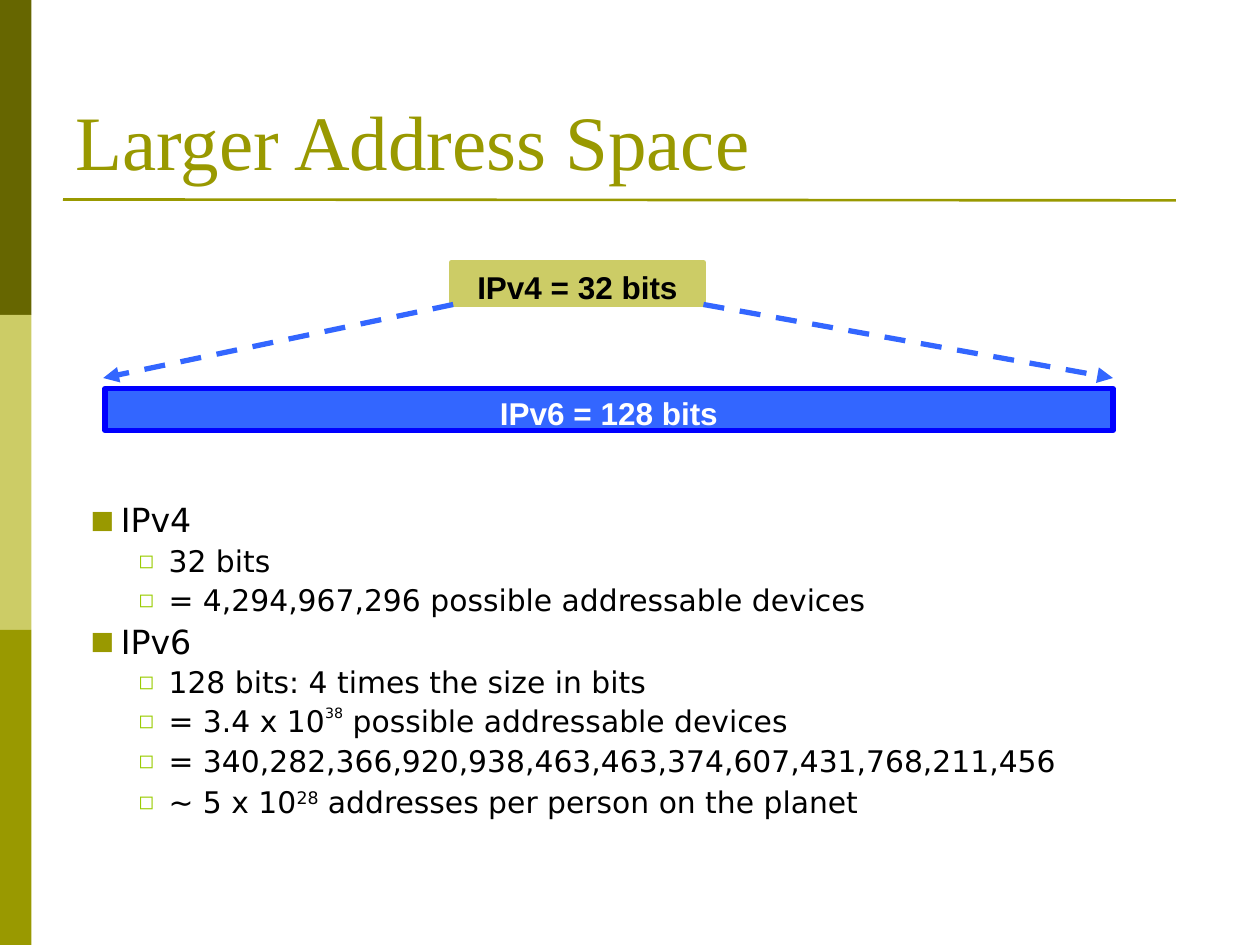
"""Build a slide comparing the IPv4 and IPv6 address spaces."""
from lxml.etree import SubElement
from pptx import Presentation
from pptx.dml.color import RGBColor
from pptx.enum.dml import MSO_LINE
from pptx.enum.shapes import MSO_CONNECTOR, MSO_SHAPE
from pptx.enum.text import MSO_ANCHOR, PP_ALIGN
from pptx.oxml.ns import qn
from pptx.util import Pt

DARK_OLIVE = RGBColor(0x66, 0x66, 0x00)
OLIVE = RGBColor(0x99, 0x99, 0x00)
KHAKI = RGBColor(0xCC, 0xCC, 0x66)
LIME = RGBColor(0x99, 0xCC, 0x00)
BLUE = RGBColor(0x33, 0x66, 0xFF)
DEEP_BLUE = RGBColor(0x00, 0x00, 0xFF)
BLACK = RGBColor(0x00, 0x00, 0x00)
WHITE = RGBColor(0xFF, 0xFF, 0xFF)

deck = Presentation()
deck.slide_width, deck.slide_height = Pt(720), Pt(540)
page = deck.slides.add_slide(deck.slide_layouts[6])


def add_text_frame(left, top, width, height, inset_top):
    box = page.shapes.add_textbox(Pt(left), Pt(top), Pt(width), Pt(height))
    frame = box.text_frame
    frame.word_wrap = True
    frame.margin_left = frame.margin_right = Pt(7.2)
    frame.margin_top, frame.margin_bottom = Pt(inset_top), Pt(3.6)
    return frame


def add_line(start, end, color, width):
    line = page.shapes.add_connector(MSO_CONNECTOR.STRAIGHT, *map(Pt, start + end))
    line.line.color.rgb = color
    line.line.width = Pt(width)
    SubElement(line._element.spPr, qn("a:effectLst"))
    return line


for index, color in enumerate((DARK_OLIVE, KHAKI, OLIVE)):
    band = page.shapes.add_shape(MSO_SHAPE.RECTANGLE, 0, Pt(180 * index), Pt(18), Pt(180))
    band.shadow.inherit = False
    band.fill.solid()
    band.fill.fore_color.rgb = color
    band.line.fill.background()

add_line((36, 114), (672, 114.5), OLIVE, 1.5)

title = add_text_frame(36, 21.6, 648, 90, 4.6)
title.vertical_anchor = MSO_ANCHOR.BOTTOM
para = title.paragraphs[0]
para.text = "Larger Address Space"
para.line_spacing = 0.98
para.font.name, para.font.size = "Times New Roman", Pt(44)
para.font.color.rgb = OLIVE

points = [
    (0, ["IPv4"]),
    (1, ["32 bits"]),
    (1, ["= 4,294,967,296 possible addressable devices"]),
    (0, ["IPv6"]),
    (1, ["128 bits: 4 times the size in bits"]),
    (1, ["= 3.4 x 10", ("38", 14, 58), " possible addressable devices"]),
    (1, ["= 340,282,366,920,938,463,463,374,607,431,768,211,456"]),
    (1, ["∼ 5 x 10", ("28", 17, 30), " addresses per person on the planet"]),
]
levels = [
    (26, 5.2, 19, "■", OLIVE, 75),
    (53.3, 4.8, 17, "◻", LIME, 65),
]
body = add_text_frame(36, 282.2, 648, 216, 6.5)
for index, (level, pieces) in enumerate(points):
    indent, space, size, bullet, bullet_color, bullet_size = levels[level]
    para = body.paragraphs[0] if index == 0 else body.add_paragraph()
    para.level = level
    props = para._p.get_or_add_pPr()
    props.set("marL", str(Pt(indent)))
    props.set("indent", str(Pt(-17.3)))
    SubElement(SubElement(props, qn("a:buClr")), qn("a:srgbClr"), val=str(bullet_color))
    SubElement(props, qn("a:buSzPct"), val=str(bullet_size * 1000))
    SubElement(props, qn("a:buFont"), typeface="DejaVu Sans")
    SubElement(props, qn("a:buChar"), char=bullet)
    para.line_spacing = 0.93 if index == len(points) - 1 else 0.86
    para.space_before = Pt(space)
    para.font.name, para.font.size = "DejaVu Sans", Pt(size)
    para.font.color.rgb = BLACK
    for piece in pieces:
        span = para.add_run()
        if isinstance(piece, str):
            span.text = piece
        else:
            span.text, power_size, raise_percent = piece
            span.font.size = Pt(power_size)
            span.font._element.set("baseline", str(raise_percent * 1000))

bars = [
    ("IPv4 = 32 bits", 258, 150, 144, KHAKI, KHAKI, BLACK),
    ("IPv6 = 128 bits", 60, 222, 576, BLUE, DEEP_BLUE, WHITE),
]
for label, left, top, width, fill, outline, text_color in bars:
    bar = page.shapes.add_shape(MSO_SHAPE.RECTANGLE, Pt(left), Pt(top), Pt(width), Pt(24))
    bar.shadow.inherit = False
    bar.fill.solid()
    bar.fill.fore_color.rgb = fill
    bar.line.color.rgb = outline
    bar.line.width = Pt(3)
    para = add_text_frame(left + 6, top, width - 12, 28.8, 5).paragraphs[0]
    para.text = label
    para.alignment = PP_ALIGN.CENTER
    para.line_spacing = 0.93
    para.space_before = Pt(11.2)
    para.font.name, para.font.size, para.font.bold = "Arial", Pt(18), True
    para.font.color.rgb = text_color

for start, end in (((259, 174), (59, 216)), ((402, 174), (636, 216))):
    arrow = add_line(start, end, BLUE, 3)
    arrow.line.dash_style = MSO_LINE.DASH
    SubElement(arrow.line._get_or_add_ln(), qn("a:tailEnd"), type="triangle")

deck.save("out.pptx")
